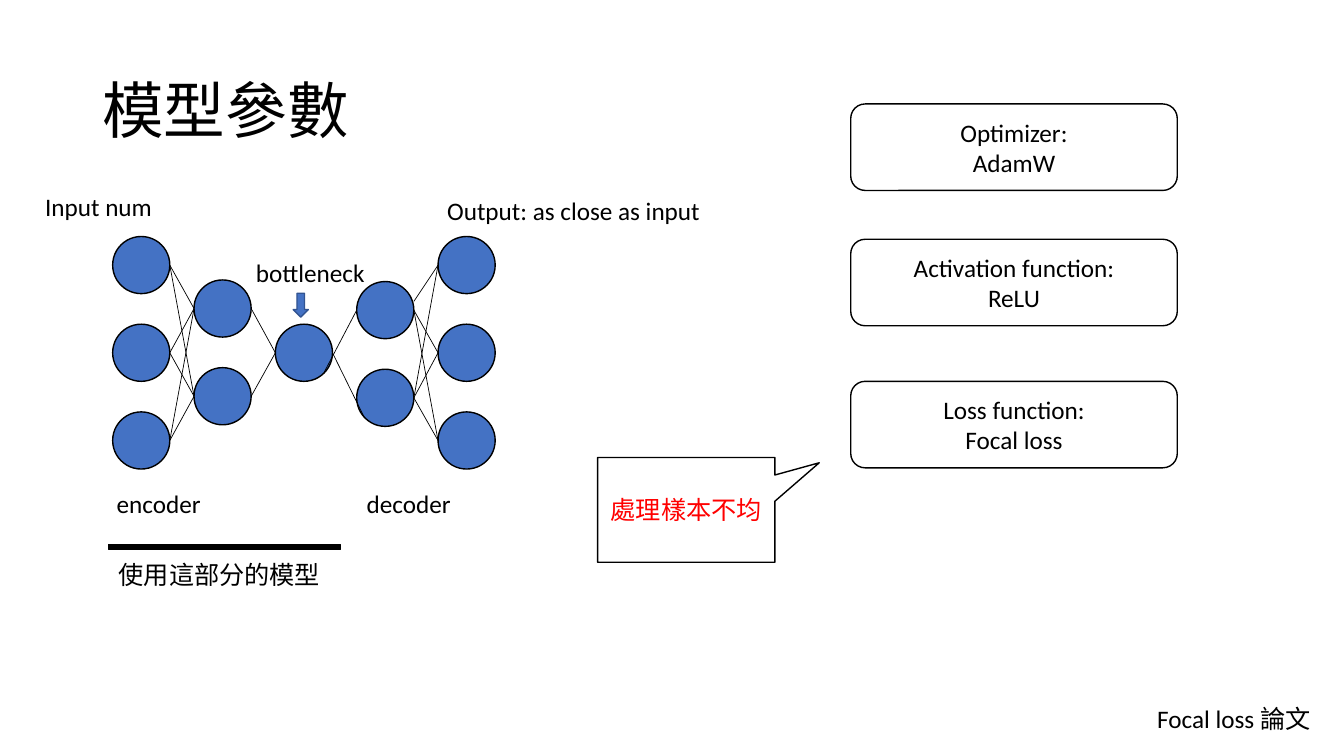
from dataclasses import dataclass

from lxml import etree
from pptx import Presentation
from pptx.dml.color import RGBColor
from pptx.enum.shapes import MSO_CONNECTOR, MSO_SHAPE
from pptx.enum.text import MSO_ANCHOR, PP_ALIGN
from pptx.oxml.ns import qn
from pptx.shapes.autoshape import Shape
from pptx.slide import Slide
from pptx.text.text import TextFrame
from pptx.util import Cm, Pt

OVAL = MSO_SHAPE.OVAL
DOWN_ARROW = MSO_SHAPE.DOWN_ARROW
ROUNDED = MSO_SHAPE.ROUNDED_RECTANGLE
CALLOUT = MSO_SHAPE.RECTANGULAR_CALLOUT
RECTANGLE = MSO_SHAPE.RECTANGLE
STRAIGHT = MSO_CONNECTOR.STRAIGHT
MIDDLE = MSO_ANCHOR.MIDDLE
LEFT = PP_ALIGN.LEFT
CENTER = PP_ALIGN.CENTER


@dataclass(frozen=True)
class Theme:
    ink: RGBColor = RGBColor(0x00, 0x00, 0x00)
    paper: RGBColor = RGBColor(0xFF, 0xFF, 0xFF)
    neuron: RGBColor = RGBColor(0x44, 0x72, 0xC4)
    arrow_edge: RGBColor = RGBColor(0x32, 0x54, 0x91)
    warning: RGBColor = RGBColor(0xFF, 0x00, 0x00)
    font: str = "Calibri"
    title_size: int = 44
    body_size: int = 18
    outline: float = 1
    link: float = 0.5


@dataclass(frozen=True)
class Box:
    left: float
    top: float
    width: float
    height: float


@dataclass(frozen=True)
class Label:
    text: str
    left: float
    top: float
    width: float


@dataclass(frozen=True)
class Layer:
    count: int
    middle: float


@dataclass(frozen=True)
class Nudge:
    start_x: float = 0
    start_y: float = 0
    end_x: float = 0
    end_y: float = 0


@dataclass(frozen=True)
class Setting:
    text: str
    top: float


THEME = Theme()
NEURON_SIZE = 1.44
NETWORK_LEFT = 2.84
LAYER_STEP = 2.05
NEURON_STEP = 2.21
LABEL_HEIGHT = 1.02

LAYERS = [Layer(3, 8.89), Layer(2, 8.88), Layer(1, 8.89), Layer(2, 8.92), Layer(3, 8.89)]
NUDGES = {
    (2, 0, 0): Nudge(start_x=-0.22, start_y=0.51),
    (2, 0, 1): Nudge(end_x=0.2, end_y=0.51),
    (3, 0, 0): Nudge(start_y=-0.22),
}
LABELS = [
    Label("Input num", 0.89, 4.7, 3.71),
    Label("Output: as close as input", 11.02, 4.79, 7.26),
    Label("bottleneck", 6.2, 6.37, 3.45),
    Label("encoder", 2.69, 12.17, 3.45),
    Label("decoder", 8.99, 12.17, 3.45),
    Label("使用這部分的模型", 2.74, 13.96, 5.84),
    Label("Focal loss 論文", 28.91, 17.6, 4.65),
]
SETTINGS = [
    Setting("Optimizer:\nAdamW", 2.62),
    Setting("Activation function:\nReLU", 6.03),
    Setting("Loss function:\nFocal loss", 9.61),
]


def write(frame: TextFrame, text: str, size: float, color: RGBColor, align: PP_ALIGN) -> None:
    frame.text = text
    frame.word_wrap = True
    for paragraph in frame.paragraphs:
        paragraph.alignment = align
        for run in paragraph.runs:
            run.font.name = THEME.font
            run.font.size = Pt(size)
            run.font.color.rgb = color


def draw_shape(slide: Slide, preset: MSO_SHAPE, box: Box, fill: RGBColor,
               edge: RGBColor = THEME.ink) -> Shape:
    shape = slide.shapes.add_shape(
        preset, Cm(box.left), Cm(box.top), Cm(box.width), Cm(box.height))
    shape.shadow.inherit = False
    shape.fill.solid()
    shape.fill.fore_color.rgb = fill
    shape.line.color.rgb = edge
    shape.line.width = Pt(THEME.outline)
    return shape


def draw_note(slide: Slide, preset: MSO_SHAPE, box: Box, text: str, color: RGBColor) -> Shape:
    note = draw_shape(slide, preset, box, THEME.paper)
    note.text_frame.vertical_anchor = MIDDLE
    write(note.text_frame, text, THEME.body_size, color, CENTER)
    return note


def draw_text(slide: Slide, box: Box, text: str, size: float) -> TextFrame:
    frame = slide.shapes.add_textbox(
        Cm(box.left), Cm(box.top), Cm(box.width), Cm(box.height)).text_frame
    write(frame, text, size, THEME.ink, LEFT)
    return frame


def draw_link(slide: Slide, x1: float, y1: float, x2: float, y2: float) -> None:
    link = slide.shapes.add_connector(STRAIGHT, Cm(x1), Cm(y1), Cm(x2), Cm(y2))
    link.line.color.rgb = THEME.ink
    link.line.width = Pt(THEME.link)
    etree.SubElement(link._element.spPr, qn("a:effectLst"))


def neuron_centers(layer: Layer) -> list[float]:
    first = layer.middle - (layer.count - 1) * NEURON_STEP / 2
    return [first + row * NEURON_STEP for row in range(layer.count)]


def draw_network(slide: Slide) -> None:
    columns = [neuron_centers(layer) for layer in LAYERS]
    lefts = [NETWORK_LEFT + index * LAYER_STEP for index in range(len(LAYERS))]
    for left, centers in zip(lefts, columns):
        for center in centers:
            box = Box(left, center - NEURON_SIZE / 2, NEURON_SIZE, NEURON_SIZE)
            draw_shape(slide, OVAL, box, THEME.neuron)
    for index in range(len(columns) - 1):
        start_x, end_x = lefts[index] + NEURON_SIZE, lefts[index + 1]
        for source, start_y in enumerate(columns[index]):
            for target, end_y in enumerate(columns[index + 1]):
                nudge = NUDGES.get((index, source, target), Nudge())
                draw_link(slide, start_x + nudge.start_x, start_y + nudge.start_y,
                          end_x + nudge.end_x, end_y + nudge.end_y)


def main() -> None:
    presentation = Presentation()
    presentation.slide_width = Cm(33.87)
    presentation.slide_height = Cm(19.05)
    slide = presentation.slides.add_slide(presentation.slide_layouts[6])

    title = draw_text(slide, Box(2.33, 1.01, 29.21, 3.68), "模型參數", THEME.title_size)
    title.vertical_anchor = MIDDLE
    title.paragraphs[0].line_spacing = 0.9

    draw_network(slide)
    for label in LABELS:
        box = Box(label.left, label.top, label.width, LABEL_HEIGHT)
        draw_text(slide, box, label.text, THEME.body_size)
    draw_shape(slide, DOWN_ARROW, Box(7.39, 7.39, 0.38, 0.6), THEME.neuron, THEME.arrow_edge)
    draw_shape(slide, RECTANGLE, Box(2.74, 13.72, 5.84, 0.13), THEME.ink)

    for setting in SETTINGS:
        draw_note(slide, ROUNDED, Box(21.44, setting.top, 8.23, 2.18), setting.text, THEME.ink)
    callout = draw_note(
        slide, CALLOUT, Box(15.06, 11.53, 4.47, 2.64), "處理樣本不均", THEME.warning)
    callout.adjustments[0] = 0.75
    callout.adjustments[1] = -0.45

    presentation.save("out.pptx")


if __name__ == "__main__":
    main()
